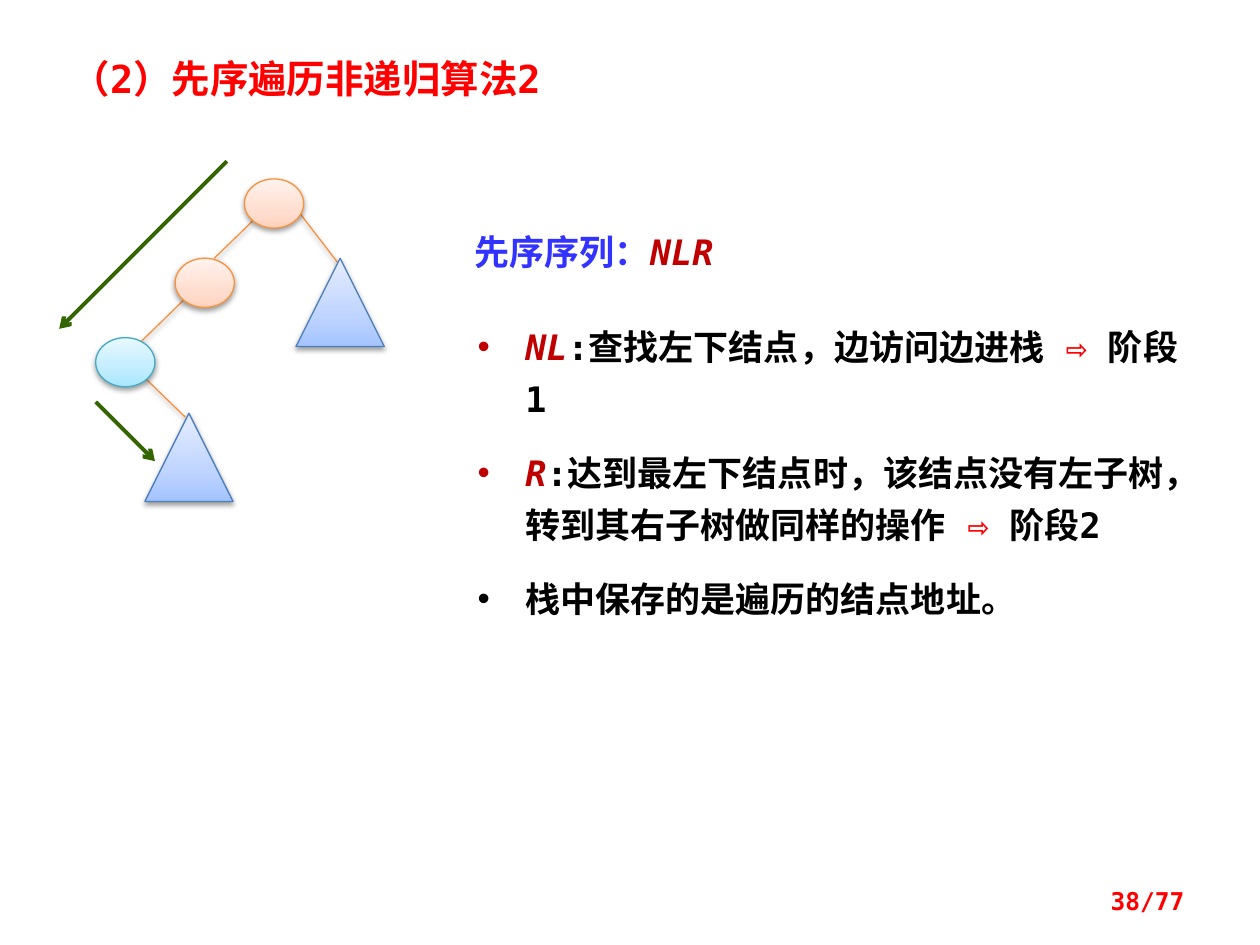
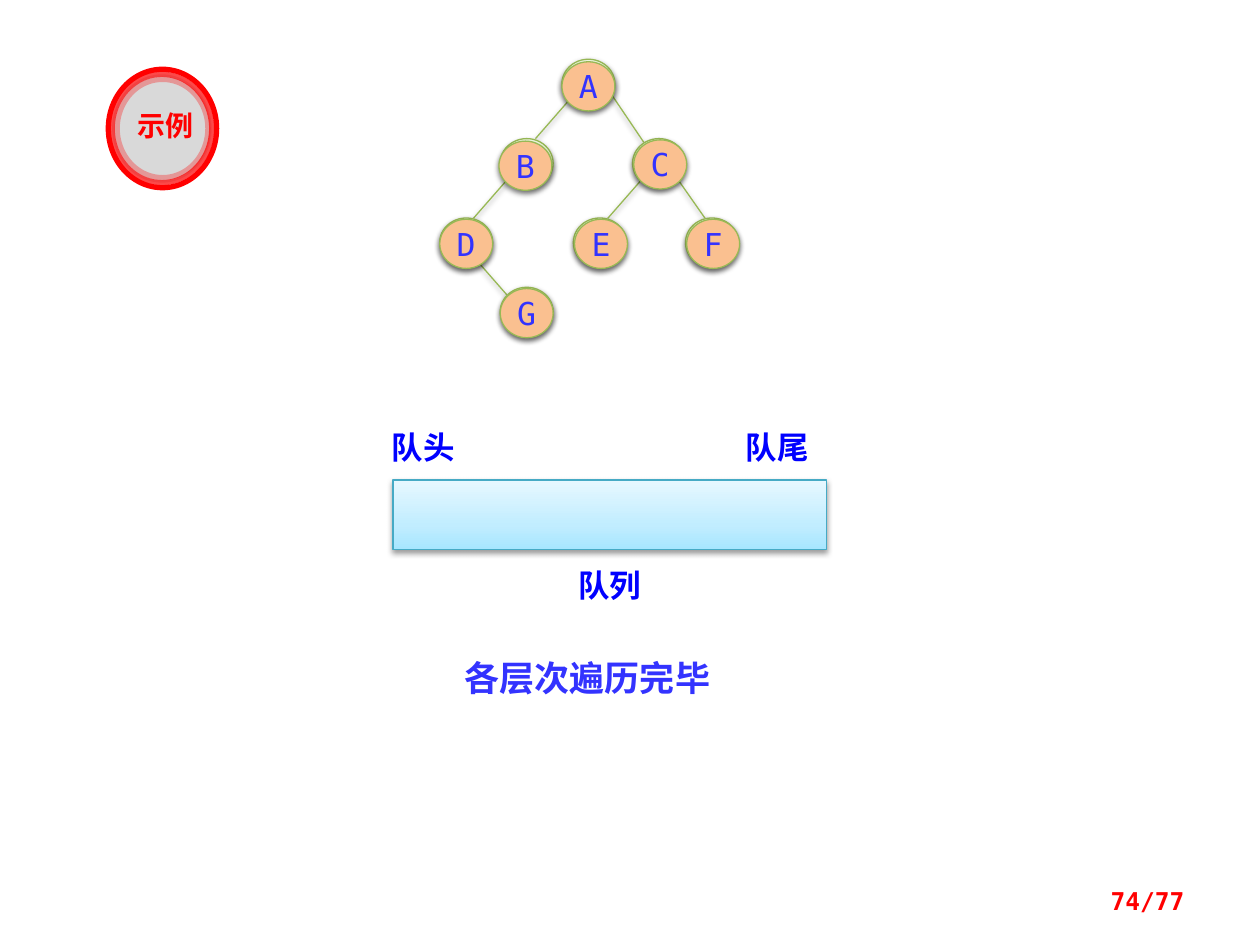
from dataclasses import dataclass

from lxml import etree
from pptx import Presentation
from pptx import util as u
from pptx.dml.color import RGBColor
from pptx.enum import shapes, text
from pptx.oxml.ns import qn


@dataclass(frozen=True)
class Theme:
    mono: str = "DejaVu Sans Mono"
    sans: str = "Noto Sans CJK SC"
    red: str = "FF0000"
    dark_red: str = "C00000"
    indigo: str = "3333FF"
    blue: str = "0000FF"
    black: str = "000000"
    white: str = "FFFFFF"
    pale: str = "F8F8F8"
    grey: str = "D9D9D9"
    visited: str = "FAC090"
    route: str = "336600"
    orange_line: str = "F69240"
    aqua_line: str = "46AAC5"
    blue_line: str = "4B7EBC"
    green_line: str = "98B955"
    # gradient colours run from bottom to top
    orange: tuple = ("FFD2BD", "FFDED0", "FFF2ED")
    aqua: tuple = ("A7E6FF", "C1EDFF", "E7F8FF")
    sky: tuple = ("A4C4FF", "BFD4FF", "E6EEFF")
    green: tuple = ("DAFDA7", "E4FCC2", "F5FFE7")
    title: int = 22
    body: int = 20
    label: int = 18
    badge: int = 16
    footer: int = 14
    hairline: float = 0.75
    ring: float = 3
    arrow: float = 2.25


T = Theme()
OVAL = shapes.MSO_SHAPE.OVAL
RECT = shapes.MSO_SHAPE.RECTANGLE
TRIANGLE = shapes.MSO_SHAPE.ISOSCELES_TRIANGLE
LINE = shapes.MSO_CONNECTOR.STRAIGHT
LEFT, CENTER, RIGHT = text.PP_ALIGN.LEFT, text.PP_ALIGN.CENTER, text.PP_ALIGN.RIGHT

prs = Presentation()
prs.slide_width, prs.slide_height = u.Inches(10), u.Inches(7.5)
CELL = prs.slide_width / 100  # square grid: 100 columns by 75 rows


def add(slide, kind, box, line=None, fill=None, width=T.hairline,
        shadow=False, arrow=False, alpha=None):
    """Add a shape or connector; box is in grid cells (two end points for a line)."""
    box = [round(CELL * v) for v in box]
    if kind is LINE:
        sp = slide.shapes.add_connector(kind, *box)
    else:
        sp = slide.shapes.add_shape(kind, *box)
        if isinstance(fill, tuple):
            sp.fill.gradient()
            sp.fill.gradient_angle = 90
            stops = sp._element.spPr.find(".//" + qn("a:gsLst"))
            for stop in list(stops):
                stops.remove(stop)
            for pos, color in zip((0, 35000, 100000), fill):
                gs = etree.SubElement(stops, qn("a:gs"), pos=str(pos))
                etree.SubElement(gs, qn("a:srgbClr"), val=color)
        elif fill:
            sp.fill.solid()
            sp.fill.fore_color.rgb = RGBColor.from_string(fill)
        else:
            sp.fill.background()
    if line:
        sp.line.color.rgb = RGBColor.from_string(line)
        sp.line.width = u.Pt(width)
        ln = sp.line._ln
        if alpha:
            etree.SubElement(ln.find(".//" + qn("a:srgbClr")), qn("a:alpha"), val=str(alpha * 1000))
        if arrow:
            etree.SubElement(ln, qn("a:tailEnd"), type="arrow")
    else:
        sp.line.fill.background()
    effects = etree.SubElement(sp._element.spPr, qn("a:effectLst"))
    if shadow:
        shade = etree.SubElement(effects, qn("a:outerShdw"), blurRad="40000", dist="20000",
                                 dir="5400000", rotWithShape="0")
        color = etree.SubElement(shade, qn("a:srgbClr"), val=T.black)
        etree.SubElement(color, qn("a:alpha"), val="38000")
    return sp


def write(sp, paragraphs, size, font=T.mono, bold=True, align=LEFT,
          anchor=text.MSO_ANCHOR.TOP, wrap=True, bullets=False):
    """Fill a shape with paragraphs, each a list of (text, colour, italic) runs."""
    tf = sp.text_frame
    tf.word_wrap, tf.vertical_anchor = wrap, anchor
    for i, runs in enumerate(paragraphs):
        p = tf.add_paragraph() if i else tf.paragraphs[0]
        p.alignment = align
        if bullets:
            p.line_spacing = u.Pt(30)
            p.space_before = u.Pt(12 if i else 0)
            pPr = p._p.get_or_add_pPr()
            pPr.set("marL", str(u.Inches(0.38)))
            pPr.set("indent", str(-u.Inches(0.38)))
            etree.SubElement(pPr, qn("a:buFont"), typeface="Arial")
            etree.SubElement(pPr, qn("a:buChar"), char="•")
        for words, color, italic in runs:
            r = p.add_run()
            r.text = words
            r.font.size, r.font.name = u.Pt(size), font
            r.font.bold, r.font.italic = bold, italic
            r.font.color.rgb = RGBColor.from_string(color)
            rPr = r._r.get_or_add_rPr()
            rPr.set("lang", "zh-CN")
            etree.SubElement(rPr, qn("a:ea"), typeface=font)


preorder, levels = [prs.slides.add_slide(prs.slide_layouts[6]) for _ in range(2)]

# Preorder traversal: tree sketch
write(add(preorder, RECT, (4.7, 3.9, 42.2, 4.7)),
      [[("（2）先序遍历非递归算法2", T.red, False)]], T.title)

for edge in ((11.5, 30, 14.7, 33.1), (20.2, 17.4, 17, 20.5),
             (23.7, 16.8, 27, 21.1), (14.7, 23.7, 10.7, 27.6)):
    add(preorder, LINE, edge, T.orange_line, shadow=True)

for x, y, line, fill in ((19.4, 14.2, T.orange_line, T.orange),
                         (13.9, 20.5, T.orange_line, T.orange),
                         (7.6, 26.8, T.aqua_line, T.aqua)):
    add(preorder, OVAL, (x, y, 4.7, 3.9), line, fill, shadow=True)

for route in ((18, 12.8, 4.7, 26.1), (7.6, 31.9, 12.3, 36.6)):
    add(preorder, LINE, route, T.route, width=T.arrow, arrow=True)

for x, y in ((11.5, 32.8), (23.5, 20.5)):
    add(preorder, TRIANGLE, (x, y, 7, 7), T.blue_line, T.sky, shadow=True)

# Preorder traversal: explanation
write(add(preorder, RECT, (36.7, 17.8, 23.4, 4.4)),
      [[("先序序列：", T.indigo, False), ("NLR", T.dark_red, True)]], T.body)

steps = add(preorder, RECT, (35.9, 23.8, 58.6, 26.4), fill=T.white)
tf = steps.text_frame
tf.margin_left = u.Inches(0.2)
tf.margin_top = tf.margin_bottom = u.Inches(0.12)
phases = [[(part, T.dark_red, True), (action, T.black, False),
           ("⇨", T.red, False), (phase, T.black, False)]
          for part, action, phase in (
              ("NL", ":查找左下结点，边访问边进栈 ", " 阶段1"),
              ("R", ":达到最左下结点时，该结点没有左子树，转到其右子树做同样的操作 ", " 阶段2"))]
write(steps, phases + [[("栈中保存的是遍历的结点地址。", T.black, False)]],
      T.body, bullets=True)

# Level-order traversal: queue
add(levels, RECT, (31.2, 38.1, 34.4, 5.5), T.aqua_line, T.aqua, shadow=True)
for name, x, y in (("队列", 44.5, 44.4), ("队头", 29.7, 33.5), ("队尾", 57.8, 33.5)):
    write(add(levels, RECT, (x, y, 7.8, 4)), [[(name, T.blue, False)]],
          T.label, T.sans, align=CENTER)

# Level-order traversal: tree, each node covered by its visited mark
for edge in ((37.6, 20.4, 40.4, 23.6), (45.3, 7.8, 42.5, 11), (48.4, 7.3, 51.3, 11.6),
             (40.4, 14.1, 36.9, 18.1), (50.8, 14.4, 48, 17.6), (53.7, 14.1, 56.5, 18.1)):
    add(levels, LINE, edge, T.green_line, shadow=True)

nodes = {"A": (44.6, 4.7), "B": (39.7, 11), "C": (50.2, 11), "D": (34.9, 17.3),
         "E": (45.5, 17.3), "G": (39.7, 22.8), "F": (54.4, 17.3)}
marks = {"A": (44.6, 4.9), "B": (39.6, 11.2), "C": (50.3, 11.1), "D": (34.9, 17.4),
         "E": (45.6, 17.4), "G": (39.7, 22.9), "F": (54.5, 17.4)}
for layer, fill in ((nodes, T.green), (marks, T.visited)):
    for name, (x, y) in layer.items():
        write(add(levels, OVAL, (x, y, 4.2, 3.9), T.green_line, fill, shadow=True),
              [[(name, T.indigo, False)]], T.label, bold=False, align=CENTER,
              anchor=text.MSO_ANCHOR.MIDDLE, wrap=False)

# Level-order traversal: example badge and closing remark
for box, fill, alpha in (((8.6, 5.5, 8.6, 9.4), T.pale, None),
                         ((8.9, 5.9, 7.9, 8.6), T.grey, 70),
                         ((9.3, 6.3, 7.2, 7.8), None, 30)):
    add(levels, OVAL, box, T.red, fill, T.ring, alpha=alpha)
write(add(levels, RECT, (9.5, 8.1, 7.3, 3.2)), [[("示例", T.red, False)]],
      T.badge, T.sans, align=CENTER)
write(add(levels, RECT, (35.9, 51.6, 25, 4.4)), [[("各层次遍历完毕", T.indigo, False)]],
      T.body, T.sans)

# Page numbers
for slide, page in ((preorder, 38), (levels, 74)):
    write(add(slide, RECT, (71.7, 69.5, 23.3, 4)), [[(f"{page}/77", T.red, False)]],
          T.footer, align=RIGHT, anchor=text.MSO_ANCHOR.MIDDLE)

prs.save("out.pptx")
